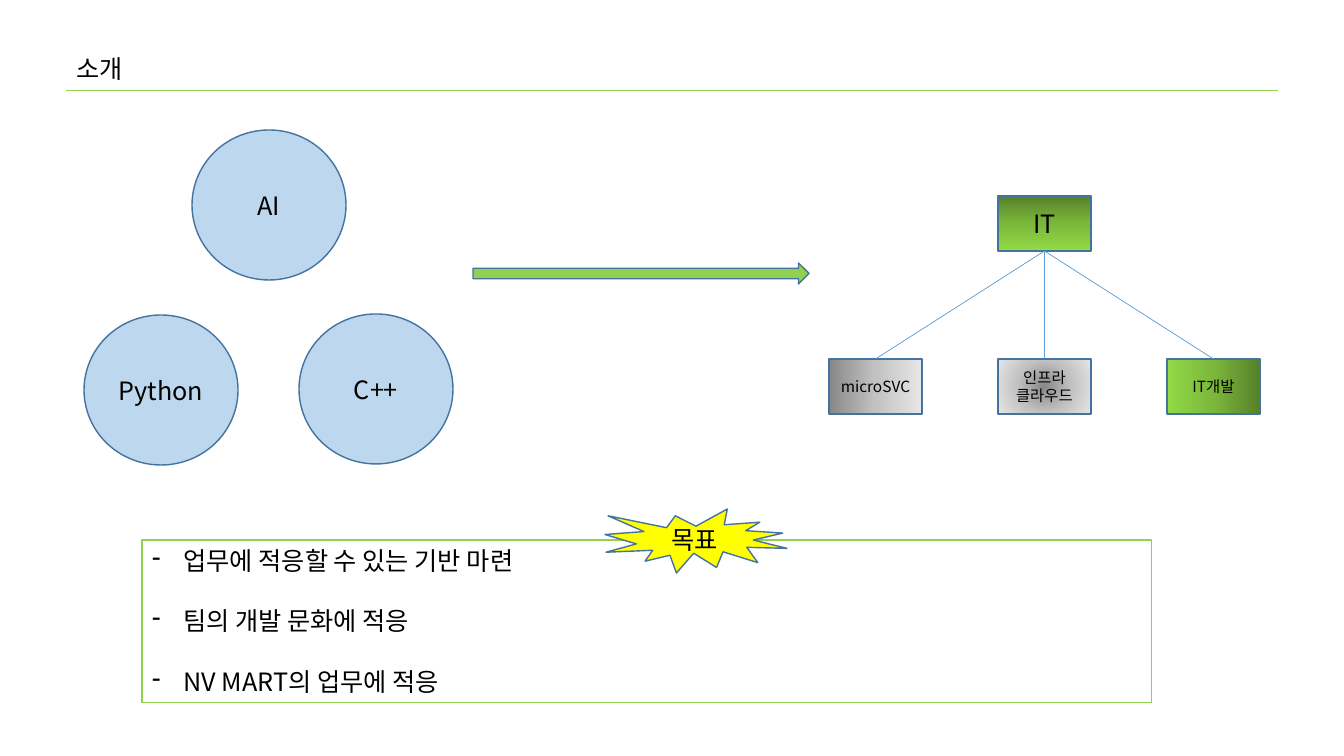
from dataclasses import dataclass

from lxml.etree import SubElement
from pptx import Presentation
from pptx.dml.color import RGBColor
from pptx.enum.shapes import MSO_CONNECTOR, MSO_SHAPE
from pptx.enum.text import MSO_ANCHOR, MSO_AUTO_SIZE, PP_ALIGN
from pptx.oxml.ns import qn
from pptx.util import Emu, Pt

TITLE = "소개"
SKILLS = [("Python", 84, 315), ("C++", 299, 314), ("AI", 192, 130)]
TEAM = "IT"
UNITS = [
    (["microSVC"], "grey", 0),
    (["인프라", "클라우드"], "grey", None),
    (["IT개발"], "green", 180),
]
GOAL = "목표"
GOALS = ["업무에 적응할 수 있는 기반 마련", "팀의 개발 문화에 적응", "NV MART의 업무에 적응"]


@dataclass(frozen=True)
class Theme:
    font: str = "Noto Sans CJK KR"
    text: str = "000000"
    green: str = "92D050"
    circle: str = "BDD7EE"
    burst: str = "FFFF00"
    outline: str = "43739E"
    branch: str = "5B9BD5"
    large: int = 18
    small: int = 11
    goal_gap: float = 21.6


THEME = Theme()
GRADIENTS = {
    "green": ["57812A", "7BB73B", "92DA46"],
    "grey": ["898888", "C3C2C2", "E7E6E6"],
}
PX_PER_INCH = 100.8
SKILL_SIZE = (154, 150)
UNIT_SIZE = (93, 55)
UNIT_LEFT, UNIT_STEP = 829, 169
TEAM_TOP, UNIT_TOP = 196, 359


def px(length):
    return Emu(round(length * 914400 / PX_PER_INCH))


def rgb(code):
    return RGBColor.from_string(code)


def write(frame, lines, size=THEME.large, align=PP_ALIGN.LEFT, anchor=MSO_ANCHOR.TOP):
    frame.auto_size = MSO_AUTO_SIZE.NONE
    frame.vertical_anchor = anchor
    for index, line in enumerate(lines):
        paragraph = frame.paragraphs[0] if index == 0 else frame.add_paragraph()
        paragraph.alignment = align
        paragraph.space_before = Pt(0)
        run = paragraph.add_run()
        run.text = line
        run.font.size = Pt(size)
        run.font.color.rgb = rgb(THEME.text)
        run.font.name = THEME.font
        SubElement(run.font._element, qn("a:ea"), typeface=THEME.font)


def place(placeholder, left, top, width, height):
    placeholder.left, placeholder.top = px(left), px(top)
    placeholder.width, placeholder.height = px(width), px(height)


def add_figure(shapes, preset, box, fill=None, lines=(), size=THEME.large):
    figure = shapes.add_shape(preset, *map(px, box))
    figure.shadow.inherit = False
    if fill:
        figure.fill.solid()
        figure.fill.fore_color.rgb = rgb(fill)
    figure.line.color.rgb = rgb(THEME.outline)
    figure.line.width = Pt(1)
    figure.text_frame.word_wrap = True
    write(figure.text_frame, lines, size, PP_ALIGN.CENTER, MSO_ANCHOR.MIDDLE)
    return figure


def shade(figure, colours, angle):
    figure.fill.gradient()
    gradient = figure._element.spPr.find(qn("a:gradFill"))
    gradient.clear()
    gradient.set("rotWithShape", "1")
    stops = SubElement(gradient, qn("a:gsLst"))
    for index, colour in enumerate(colours):
        stop = SubElement(stops, qn("a:gs"), pos=str(index * 50000))
        SubElement(stop, qn("a:srgbClr"), val=colour)
    if angle is None:
        radial = SubElement(gradient, qn("a:path"), path="circle")
        SubElement(radial, qn("a:fillToRect"), l="50000", t="50000", r="50000", b="50000")
    else:
        SubElement(gradient, qn("a:lin"), ang=str(angle * 60000), scaled="1")


def add_rule(shapes, colour, ends=(0, 0, 0, 0)):
    rule = shapes.add_connector(MSO_CONNECTOR.STRAIGHT, *map(px, ends))
    rule.line.color.rgb = rgb(colour)
    rule.line.width = Pt(0.5)
    SubElement(rule._element.spPr, qn("a:effectLst"))
    return rule


def add_unit(shapes, column, top, lines, size, tone, angle):
    box = (UNIT_LEFT + column * UNIT_STEP, top, *UNIT_SIZE)
    unit = add_figure(shapes, MSO_SHAPE.RECTANGLE, box, lines=lines, size=size)
    shade(unit, GRADIENTS[tone], angle)
    return unit


def add_goals(goals):
    place(goals, 142, 540, 1010, 163)
    goals.line.color.rgb = rgb(THEME.green)
    goals.line.width = Pt(0.75)
    write(goals.text_frame, GOALS)
    for paragraph in goals.text_frame.paragraphs:
        paragraph.space_after = Pt(THEME.goal_gap)
        properties = paragraph._p.get_or_add_pPr()
        properties.set("marL", "285750")
        properties.set("indent", "-285750")
        SubElement(properties, qn("a:buFontTx"))
        SubElement(properties, qn("a:buChar"), char="-")


def add_organisation(shapes):
    team = add_unit(shapes, 1, TEAM_TOP, [TEAM], THEME.large, "green", 90)
    units = [
        add_unit(shapes, column, UNIT_TOP, lines, THEME.small, tone, angle)
        for column, (lines, tone, angle) in enumerate(UNITS)
    ]
    middle, bottom = UNIT_LEFT + UNIT_STEP + UNIT_SIZE[0] / 2, TEAM_TOP + UNIT_SIZE[1]
    for unit in units:
        branch = add_rule(shapes, THEME.branch, (middle, bottom, middle, UNIT_TOP))
        branch.begin_connect(team, 2)
        branch.end_connect(unit, 0)


def main():
    deck = Presentation()
    deck.slide_width, deck.slide_height = px(1344), px(756)
    slide = deck.slides.add_slide(deck.slide_layouts[1])
    shapes = slide.shapes

    place(shapes.title, 66, 48, 72, 40)
    shapes.title.text_frame.word_wrap = False
    write(shapes.title.text_frame, [TITLE])
    add_rule(shapes, THEME.green, (66, 90, 1278, 90))

    skills = shapes.add_group_shape().shapes
    for name, left, top in SKILLS:
        add_figure(skills, MSO_SHAPE.OVAL, (left, top, *SKILL_SIZE), THEME.circle, [name])
    add_figure(shapes, MSO_SHAPE.RIGHT_ARROW, (473, 263, 336, 21), THEME.green)

    add_goals(slide.placeholders[1])
    add_figure(shapes, MSO_SHAPE.EXPLOSION1, (605, 509, 182, 64), THEME.burst, [GOAL])
    add_organisation(shapes.add_group_shape().shapes)
    deck.save("out.pptx")


if __name__ == "__main__":
    main()
